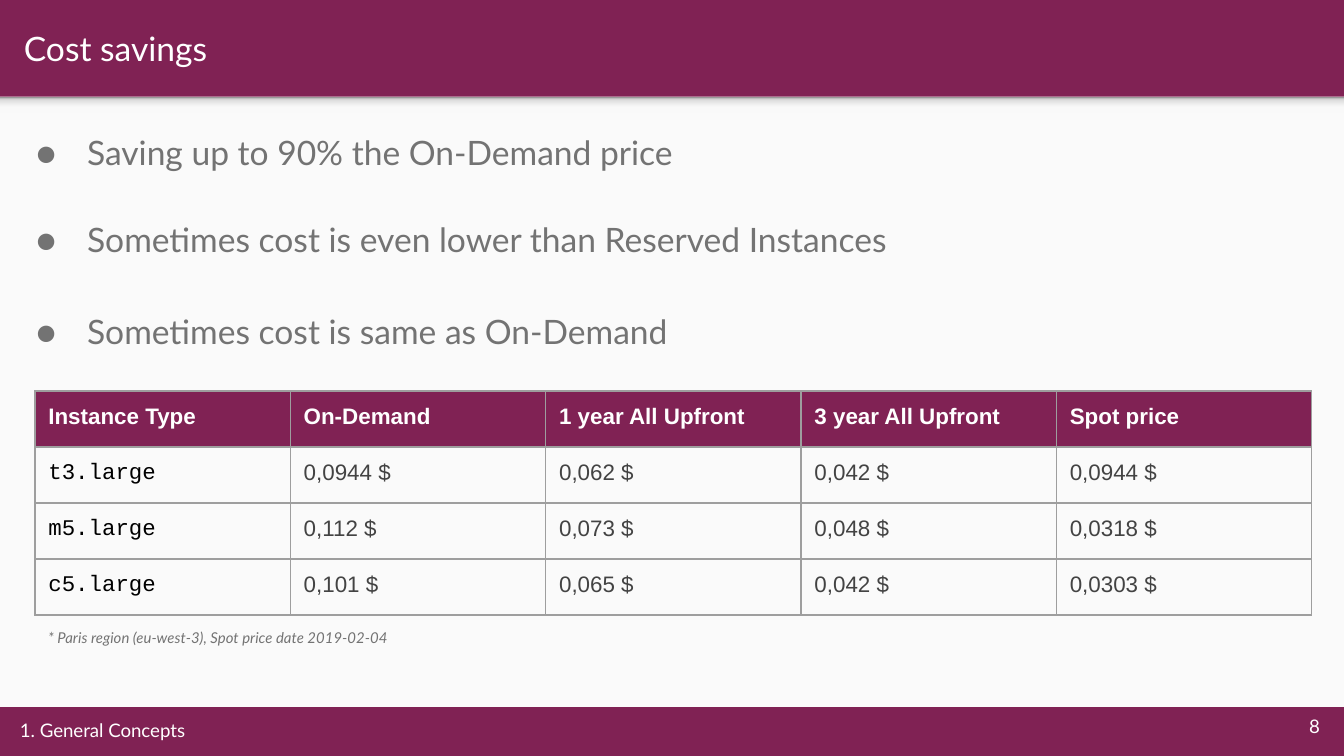
import copy

import pptx
import pptx.dml.color
import pptx.enum.shapes
import pptx.enum.text
import pptx.oxml
import pptx.oxml.ns
import pptx.util
from pptx.util import Inches

RGBColor = pptx.dml.color.RGBColor
ALIGN = pptx.enum.text.PP_ALIGN
ANCHOR = pptx.enum.text.MSO_ANCHOR

PLUM = RGBColor(0x80, 0x22, 0x54)
PAPER = RGBColor(0xFA, 0xFA, 0xFA)
WHITE = RGBColor(0xFF, 0xFF, 0xFF)
BLACK = RGBColor(0, 0, 0)
GRAY = RGBColor(0x73, 0x73, 0x73)
DARK_GRAY = RGBColor(0x43, 0x43, 0x43)
RULE_GRAY = RGBColor(0x9E, 0x9E, 0x9E)
SHADE = [
    (0, RGBColor(0xF9, 0xF9, 0xF9)),
    (0.36, RGBColor(0xF9, 0xF9, 0xF9)),
    (0.8, RGBColor(0xDE, 0xDE, 0xDE)),
    (1, RGBColor(0x99, 0x99, 0x99)),
]

BULLETS = [
    "Saving up to 90% the On-Demand price",
    "Sometimes cost is even lower than Reserved Instances",
    "Sometimes cost is same as On-Demand",
]
BULLET_GAPS = [0, 21.75, 24.5]
PRICES = [
    ["Instance Type", "On-Demand", "1 year All Upfront", "3 year All Upfront", "Spot price"],
    ["t3.large", "0,0944 $", "0,062 $", "0,042 $", "0,0944 $"],
    ["m5.large", "0,112 $", "0,073 $", "0,048 $", "0,0318 $"],
    ["c5.large", "0,101 $", "0,065 $", "0,042 $", "0,0303 $"],
]


def add_run(paragraph, words, size, color, font="Lato", bold=False, italic=False):
    run = paragraph.add_run()
    run.text = words
    run.font.size = pptx.util.Pt(size)
    run.font.name = font
    run.font.color.rgb = color
    run.font.bold = bold
    run.font.italic = italic


def add_frame(slide, left, top, width, height, anchor=ANCHOR.TOP):
    """Add a wrapping text box with even margins and return its text frame."""
    frame = slide.shapes.add_textbox(
        Inches(left), Inches(top), Inches(width), Inches(height)).text_frame
    frame.word_wrap = True
    frame.vertical_anchor = anchor
    frame.margin_left = frame.margin_right = Inches(0.1)
    frame.margin_top = frame.margin_bottom = Inches(0.1)
    return frame


def add_panel(slide, left, top, width, height):
    """Light content area with a soft shade along its top edge."""
    def add_rectangle(rectangle_height):
        rectangle = slide.shapes.add_shape(
            pptx.enum.shapes.MSO_SHAPE.RECTANGLE, Inches(left), Inches(top),
            Inches(width), Inches(rectangle_height))
        rectangle.shadow.inherit = False
        rectangle.line.fill.background()
        return rectangle

    paper = add_rectangle(height)
    paper.fill.solid()
    paper.fill.fore_color.rgb = PAPER

    shade = add_rectangle(0.12)
    shade.fill.gradient()
    shade.fill.gradient_angle = 90
    stop_list = shade.fill._fill._gradFill.gsLst
    for extra_stop in list(stop_list):
        stop_list.append(copy.deepcopy(extra_stop))
    for stop, (position, color) in zip(shade.fill.gradient_stops, SHADE):
        stop.position = position
        stop.color.rgb = color


def add_header(slide, left, top, width, height):
    title = add_frame(slide, left, top, width, height, ANCHOR.MIDDLE)
    add_run(title.paragraphs[0], "Cost savings", 18, WHITE)


def add_bullets(slide, left, top, width, height):
    frame = add_frame(slide, left, top, width, height)
    namespace = pptx.oxml.ns.nsdecls("a")
    bullet_parts = [
        f'<a:buClr {namespace}><a:srgbClr val="{GRAY}"/></a:buClr>',
        f'<a:buFont {namespace} typeface="Lato"/>',
        f'<a:buChar {namespace} char="●"/>',
    ]
    for index, (words, gap) in enumerate(zip(BULLETS, BULLET_GAPS)):
        paragraph = frame.paragraphs[0] if index == 0 else frame.add_paragraph()
        paragraph.line_spacing = 1.15
        paragraph.space_before = pptx.util.Pt(gap)
        properties = paragraph._p.get_or_add_pPr()
        properties.set("marL", str(Inches(0.5)))
        properties.set("indent", str(Inches(-0.38)))
        for part in bullet_parts:
            properties.append(pptx.oxml.parse_xml(part))
        add_run(paragraph, words, 18, GRAY)


def add_borders(cell):
    properties = cell._tc.get_or_add_tcPr()
    for side in "LRTB":
        properties.append(pptx.oxml.parse_xml(
            f'<a:ln{side} {pptx.oxml.ns.nsdecls("a")} w="{pptx.util.Pt(0.75)}">'
            f'<a:solidFill><a:srgbClr val="{RULE_GRAY}"/></a:solidFill></a:ln{side}>'))


def add_price_table(slide, left, top, width, height):
    prices = slide.shapes.add_table(
        len(PRICES), len(PRICES[0]), Inches(left), Inches(top),
        Inches(width), Inches(height)).table
    prices.first_row = prices.horz_banding = False
    for row_index, row in enumerate(PRICES):
        for column_index, words in enumerate(row):
            cell = prices.cell(row_index, column_index)
            cell.margin_left = cell.margin_right = Inches(0.1)
            cell.margin_top = cell.margin_bottom = Inches(0.1)
            add_borders(cell)
            paragraph = cell.text_frame.paragraphs[0]
            if row_index == 0:
                cell.fill.solid()
                cell.fill.fore_color.rgb = PLUM
                add_run(paragraph, words, 12, WHITE, "Arial", bold=True)
                continue
            cell.fill.background()
            if column_index == 0:
                add_run(paragraph, words, 12, BLACK, "Courier New")
            else:
                add_run(paragraph, words, 12, DARK_GRAY, "Arial")


def add_footnote(slide, left, top, width, height):
    note = add_frame(slide, left, top, width, height)
    add_run(note.paragraphs[0], "* Paris region (eu-west-3), Spot price date 2019-02-04",
            8, GRAY, italic=True)


def add_footer(slide, left, top, width, height):
    """Section name on the left, page number on the right."""
    number_width = 0.6
    section_width = width - number_width
    section = add_frame(slide, left, top, section_width, height, ANCHOR.MIDDLE)
    add_run(section.paragraphs[0], "1. General Concepts", 10, WHITE)
    number = add_frame(slide, left + section_width, top, number_width, 0.33, ANCHOR.MIDDLE)
    number.paragraphs[0].alignment = ALIGN.RIGHT
    add_run(number.paragraphs[0], "8", 10, WHITE)


def main():
    # Widescreen page, 16 to 9
    deck = pptx.Presentation()
    deck.slide_width = Inches(10)
    deck.slide_height = Inches(10 * 9 / 16)
    slide = deck.slides.add_slide(deck.slide_layouts[6])
    slide.background.fill.solid()
    slide.background.fill.fore_color.rgb = PLUM

    add_panel(slide, 0, 0.72, 10, 4.54)
    add_header(slide, 0.08, 0.03, 9.8, 0.66)
    add_bullets(slide, 0.05, 0.84, 9.87, 4.26)
    # Four rows of 30 points each
    add_price_table(slide, 0.26, 2.91, 9.5, 4 * 30 / 72)
    add_footnote(slide, 0.26, 4.61, 9.5, 0.29)
    add_footer(slide, 0.05, 5.24, 9.87, 0.38)
    deck.save("out.pptx")


if __name__ == "__main__":
    main()
